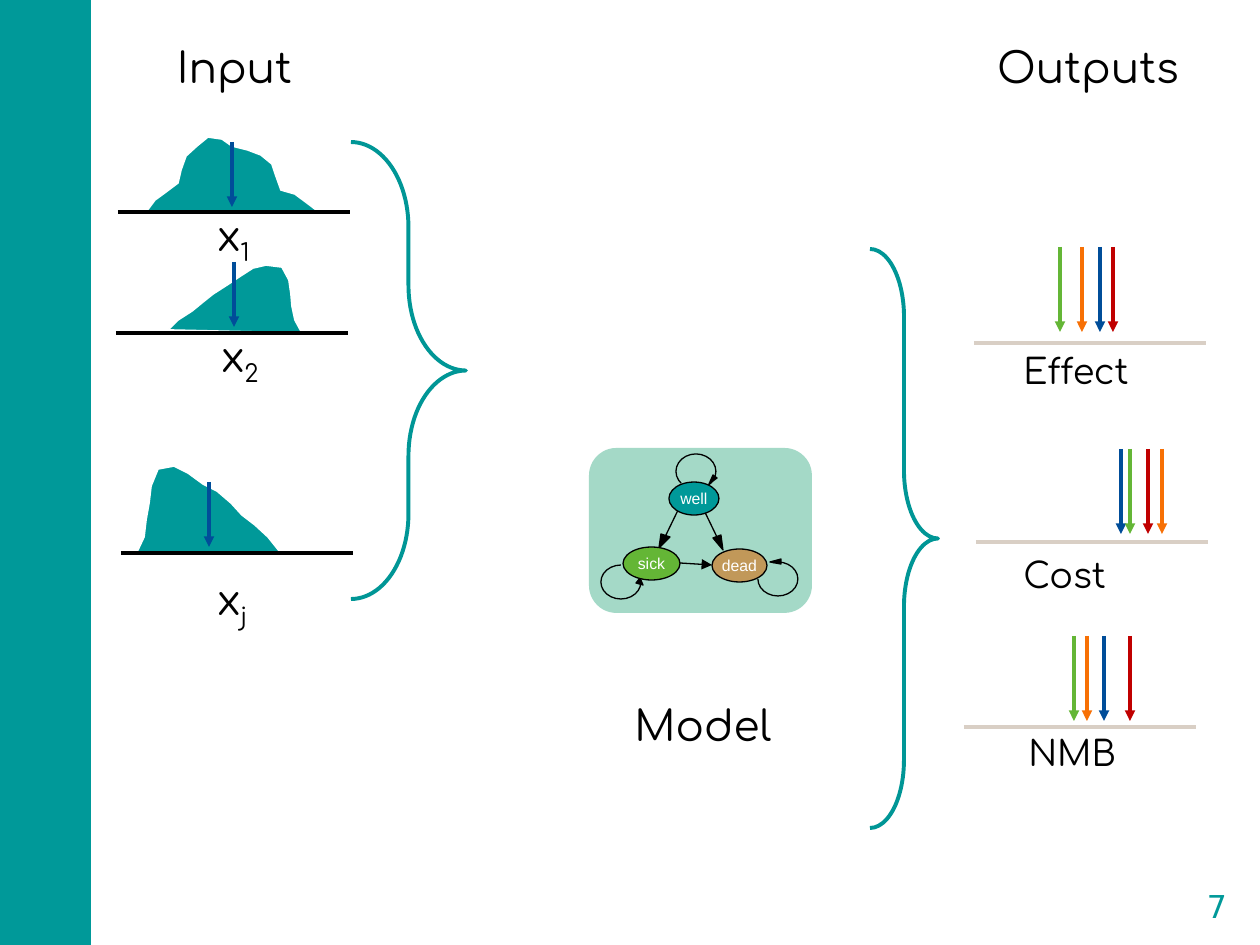
from lxml import etree
from pptx import Presentation
from pptx.dml.color import RGBColor
from pptx.enum.shapes import MSO_CONNECTOR, MSO_SHAPE
from pptx.enum.text import MSO_ANCHOR, PP_ALIGN
from pptx.oxml.ns import qn
from pptx.util import Pt

STRAIGHT = MSO_CONNECTOR.STRAIGHT
RECTANGLE, ROUNDED = MSO_SHAPE.RECTANGLE, MSO_SHAPE.ROUNDED_RECTANGLE
OVAL, ARC, BRACE = MSO_SHAPE.OVAL, MSO_SHAPE.ARC, MSO_SHAPE.RIGHT_BRACE
LEFT, CENTER = PP_ALIGN.LEFT, PP_ALIGN.CENTER
TOP, MIDDLE = MSO_ANCHOR.TOP, MSO_ANCHOR.MIDDLE

PX = 914400 / 126
TEAL, BLACK, WHITE = "009999", "000000", "FFFFFF"
BLUE, GREEN, ORANGE, RED = "004D99", "64B636", "F77005", "C00000"
color = RGBColor.from_string

presentation = Presentation()
presentation.slide_width = round(1260 * PX)
presentation.slide_height = round(945 * PX)
slide = presentation.slides.add_slide(presentation.slide_layouts[6])
shapes = slide.shapes


def add_line(x1, y1, x2, y2, line_color, width=2, arrow=False):
    ends = [round(value * PX) for value in (x1, y1, x2, y2)]
    connector = shapes.add_connector(STRAIGHT, *ends)
    connector.line.color.rgb = color(line_color)
    connector.line.width = Pt(width)
    if arrow:
        line = connector.line._get_or_add_ln()
        etree.SubElement(line, qn("a:tailEnd"), type="triangle")
    etree.SubElement(connector._element.spPr, qn("a:effectLst"))


def add_polygon(points, fill, line_color, width):
    builder = shapes.build_freeform(*points[0], scale=PX)
    builder.add_line_segments(points[1:], close=True)
    shape = builder.convert_to_shape()
    shape.shadow.inherit = False
    shape.fill.solid()
    shape.fill.fore_color.rgb = color(fill)
    shape.line.color.rgb = color(line_color)
    shape.line.width = Pt(width)


panels = [
    (RECTANGLE, 0, 0, 91, 945, TEAL),
    (ROUNDED, 589, 448, 223, 165, "A4D9C7"),
]
for kind, *box, fill in panels:
    shape = shapes.add_shape(kind, *[round(value * PX) for value in box])
    shape.shadow.inherit = False
    shape.fill.solid()
    shape.fill.fore_color.rgb = color(fill)
    shape.line.fill.background()

inputs = [
    (118, 212, 232, 142, [
        (146, 212), (155, 200), (166, 192), (178, 183), (181, 170), (186, 156),
        (197, 146), (208, 137), (222, 139), (232, 146), (248, 150), (261, 155),
        (272, 164), (276, 176), (281, 190), (295, 194), (307, 203), (319, 212)]),
    (116, 333, 234, 262, [
        (168, 330), (178, 320), (192, 311), (203, 302), (213, 294), (227, 285),
        (239, 277), (253, 268), (266, 265), (282, 267), (289, 280), (291, 294),
        (292, 306), (295, 320), (302, 333)]),
    (121, 553, 209, 482, [
        (280, 552), (268, 537), (255, 525), (242, 515), (231, 503), (217, 491),
        (203, 484), (188, 473), (174, 466), (158, 469), (151, 486), (149, 503),
        (146, 520), (144, 537), (136, 554)]),
]
for axis_x, axis_y, arrow_x, arrow_y, curve in inputs:
    add_polygon(curve, TEAL, WHITE, 1)
    add_line(axis_x, axis_y, axis_x + 232, axis_y, BLACK)
    add_line(arrow_x, arrow_y, arrow_x, arrow_y + 65, BLUE, arrow=True)

outputs = [
    (974, 343, 247, (1100, 1060, 1082, 1113)),
    (976, 542, 449, (1121, 1130, 1162, 1148)),
    (964, 727, 636, (1104, 1074, 1087, 1130)),
]
for axis_x, axis_y, arrow_y, arrow_xs in outputs:
    add_line(axis_x, axis_y, axis_x + 232, axis_y, "D9CFC5")
    for arrow_x, arrow_color in zip(arrow_xs, (BLUE, GREEN, ORANGE, RED)):
        add_line(arrow_x, arrow_y, arrow_x, arrow_y + 85, arrow_color, arrow=True)

curved = [
    (BRACE, 351, 142, 115, 457, (0.74, 0.5), "009696", 2.25),
    (BRACE, 870, 249, 68, 579, (1, 0.5), "009696", 2.25),
    (ARC, 676, 454, 40, 35, (141 * 0.6, 50 * 0.6), BLACK, 0.75),
    (ARC, 601, 565, 40, 34, (346 * 0.6, 270 * 0.6), BLACK, 0.75),
    (ARC, 758, 562, 40, 34, (253 * 0.6, 180 * 0.6), BLACK, 0.75),
]
for kind, *box, adjustments, line_color, width in curved:
    shape = shapes.add_shape(kind, *[round(value * PX) for value in box])
    shape.shadow.inherit = False
    shape.adjustments[0], shape.adjustments[1] = adjustments
    shape.fill.background()
    shape.line.color.rgb = color(line_color)
    shape.line.width = Pt(width)

add_line(681, 504, 665, 537, BLACK, 0.75)
add_line(701, 504, 717, 537, BLACK, 0.75)
add_line(680, 563, 712, 565, BLACK, 0.75, arrow=True)
arrowheads = [
    [(659, 548), (670, 537), (661, 534)],
    [(723, 550), (721, 535), (713, 538)],
    [(709, 484), (717, 478), (713, 475)],
    [(640, 578), (636, 583), (643, 585)],
    [(770, 562), (781, 564), (781, 559)],
]
for points in arrowheads:
    add_polygon(points, BLACK, BLACK, 0.75)

states = [
    ("sick", 623, 547, 57, GREEN),
    ("dead", 712, 549, 55, "C19859"),
    ("well", 669, 482, 50, TEAL),
]
for name, left, top, width, fill in states:
    box = [round(value * PX) for value in (left, top, width, 33)]
    shape = shapes.add_shape(OVAL, *box)
    shape.shadow.inherit = False
    shape.fill.solid()
    shape.fill.fore_color.rgb = color(fill)
    shape.line.color.rgb = color(BLACK)
    shape.line.width = Pt(0.75)
    text_frame = shape.text_frame
    text_frame.text = name
    text_frame.word_wrap = False
    text_frame.vertical_anchor = MIDDLE
    paragraph = text_frame.paragraphs[0]
    paragraph.alignment = CENTER
    font = paragraph.runs[0].font
    font.name, font.size = "Arial", Pt(9)
    font.color.rgb = color(WHITE)

labels = [
    ("Input", "", 121, 35, 227, 64, 24, CENTER, TOP, "Comfortaa", BLACK),
    ("Outputs", "", 977, 35, 222, 64, 24, CENTER, TOP, "Comfortaa", BLACK),
    ("Model", "", 622, 693, 284, 64, 24, LEFT, TOP, "Comfortaa", BLACK),
    ("x", "1", 205, 203, 59, 64, 24, LEFT, TOP, "Comfortaa", BLACK),
    ("x", "2", 209, 324, 66, 64, 24, LEFT, TOP, "Comfortaa", BLACK),
    ("x", "j", 205, 567, 127, 64, 24, LEFT, TOP, "Comfortaa", BLACK),
    ("Effect", "", 1011, 343, 166, 55, 20, LEFT, TOP, "Comfortaa", BLACK),
    ("Cost", "", 1011, 547, 140, 55, 20, LEFT, TOP, "Comfortaa", BLACK),
    ("NMB", "", 1016, 725, 140, 55, 20, LEFT, TOP, "Comfortaa", BLACK),
    ("7", "", 1179, 879, 76, 54, 18, CENTER, MIDDLE, "DejaVu Sans", TEAL),
]
for text, subscript, *box, size, alignment, anchor, font_name, font_color in labels:
    shape = shapes.add_textbox(*[round(value * PX) for value in box])
    text_frame = shape.text_frame
    text_frame.text = text
    text_frame.word_wrap = True
    text_frame.vertical_anchor = anchor
    paragraph = text_frame.paragraphs[0]
    paragraph.alignment = alignment
    if subscript:
        run = paragraph.add_run()
        run.text = subscript
        run._r.get_or_add_rPr().set("baseline", "-25000")
    for run in paragraph.runs:
        run.font.name, run.font.size = font_name, Pt(size)
        run.font.color.rgb = color(font_color)

presentation.save("out.pptx")
